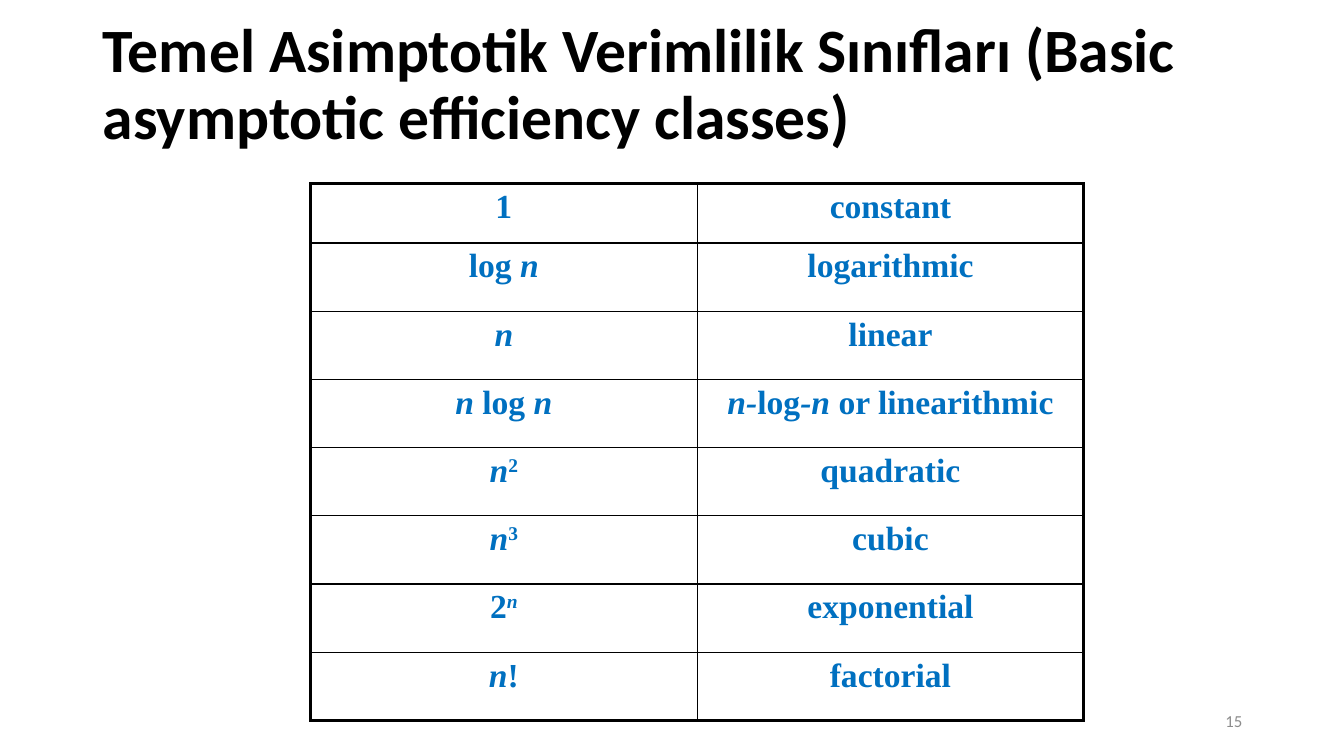
import pptx
import pptx.util
import pptx.dml.color
import pptx.enum.text
import pptx.oxml
import pptx.oxml.ns

Inches, Pt = pptx.util.Inches, pptx.util.Pt
RGB = pptx.dml.color.RGBColor
ALIGN = pptx.enum.text.PP_ALIGN
MIDDLE = pptx.enum.text.MSO_ANCHOR.MIDDLE

BLACK = RGB(0x00, 0x00, 0x00)
BLUE = RGB(0x00, 0x70, 0xC0)
GREY = RGB(0x8C, 0x8C, 0x8C)

TITLE = "Temel Asimptotik Verimlilik Sınıfları (Basic asymptotic efficiency classes)"
NUMBER = "15"

# Each cell is a list of runs: (text, marks), where i is italic and s superscript.
CLASSES = [
    ([("1", "")], [("constant", "")]),
    ([("log ", ""), ("n", "i")], [("logarithmic", "")]),
    ([("n", "i")], [("linear", "")]),
    ([("n ", "i"), ("log ", ""), ("n", "i")],
     [("n-", "i"), ("log", ""), ("-n ", "i"), ("or linearithmic", "")]),
    ([("n", "i"), ("2", "s")], [("quadratic", "")]),
    ([("n", "i"), ("3", "s")], [("cubic", "")]),
    ([("2", ""), ("n", "is")], [("exponential", "")]),
    ([("n", "i"), ("!", "")], [("factorial", "")]),
]

LEFT, TOP, WIDTH, HEIGHT = 3.08, 1.82, 7.67, 5.33
FIRST = 0.59
THIN, THICK = 1, 2.25


def write(frame, runs, size, color, font="Calibri", bold=False,
          align=ALIGN.LEFT, spacing=None):
    line = frame.paragraphs[0]
    line.alignment = align
    line.line_spacing = spacing
    for text, marks in runs:
        run = line.add_run()
        run.text = text
        run.font.name = font
        run.font.size = Pt(size)
        run.font.bold = bold
        run.font.italic = "i" in marks
        run.font.color.rgb = color
        if "s" in marks:
            run.font._element.set("baseline", "30000")


def edge(cell, side, width):
    """Draw one border of a cell; side is L, R, T or B."""
    line = pptx.oxml.parse_xml(
        f'<a:ln{side} {pptx.oxml.ns.nsdecls("a")} w="{Pt(width)}">'
        f'<a:solidFill><a:srgbClr val="{BLACK}"/></a:solidFill></a:ln{side}>')
    cell._tc.get_or_add_tcPr().append(line)


def main():
    deck = pptx.Presentation()
    deck.slide_width, deck.slide_height = Inches(13.33), Inches(7.5)
    slide = deck.slides.add_slide(deck.slide_layouts[5])

    title = slide.shapes.title
    title.left, title.top = Inches(0.92), Inches(0.13)
    title.width, title.height = Inches(11.5), Inches(1.45)
    title.text_frame.auto_size = pptx.enum.text.MSO_AUTO_SIZE.NONE
    title.text_frame.vertical_anchor = MIDDLE
    write(title.text_frame, [(TITLE, "")], 44, BLACK, bold=True, spacing=0.9)

    rows, cols = len(CLASSES), len(CLASSES[0])
    table = slide.shapes.add_table(
        rows, cols, Inches(LEFT), Inches(TOP), Inches(WIDTH), Inches(HEIGHT)).table
    table.first_row = table.horz_banding = False
    for col in table.columns:
        col.width = Inches(WIDTH / cols)
    for r, texts in enumerate(CLASSES):
        table.rows[r].height = Inches((HEIGHT - FIRST) / (rows - 1) if r else FIRST)
        for c, runs in enumerate(texts):
            cell = table.cell(r, c)
            outer = {"L": c == 0, "R": c == cols - 1, "T": r == 0, "B": r == rows - 1}
            for side, thick in outer.items():
                edge(cell, side, THICK if thick else THIN)
            cell.fill.background()
            write(cell.text_frame, runs, 24, BLUE, font="Times New Roman",
                  bold=True, align=ALIGN.CENTER)

    number = slide.shapes.add_textbox(Inches(9.42), Inches(6.95), Inches(3), Inches(0.4))
    number.text_frame.word_wrap = True
    number.text_frame.vertical_anchor = MIDDLE
    write(number.text_frame, [(NUMBER, "")], 12, GREY, align=ALIGN.RIGHT)

    deck.save("out.pptx")


if __name__ == "__main__":
    main()
